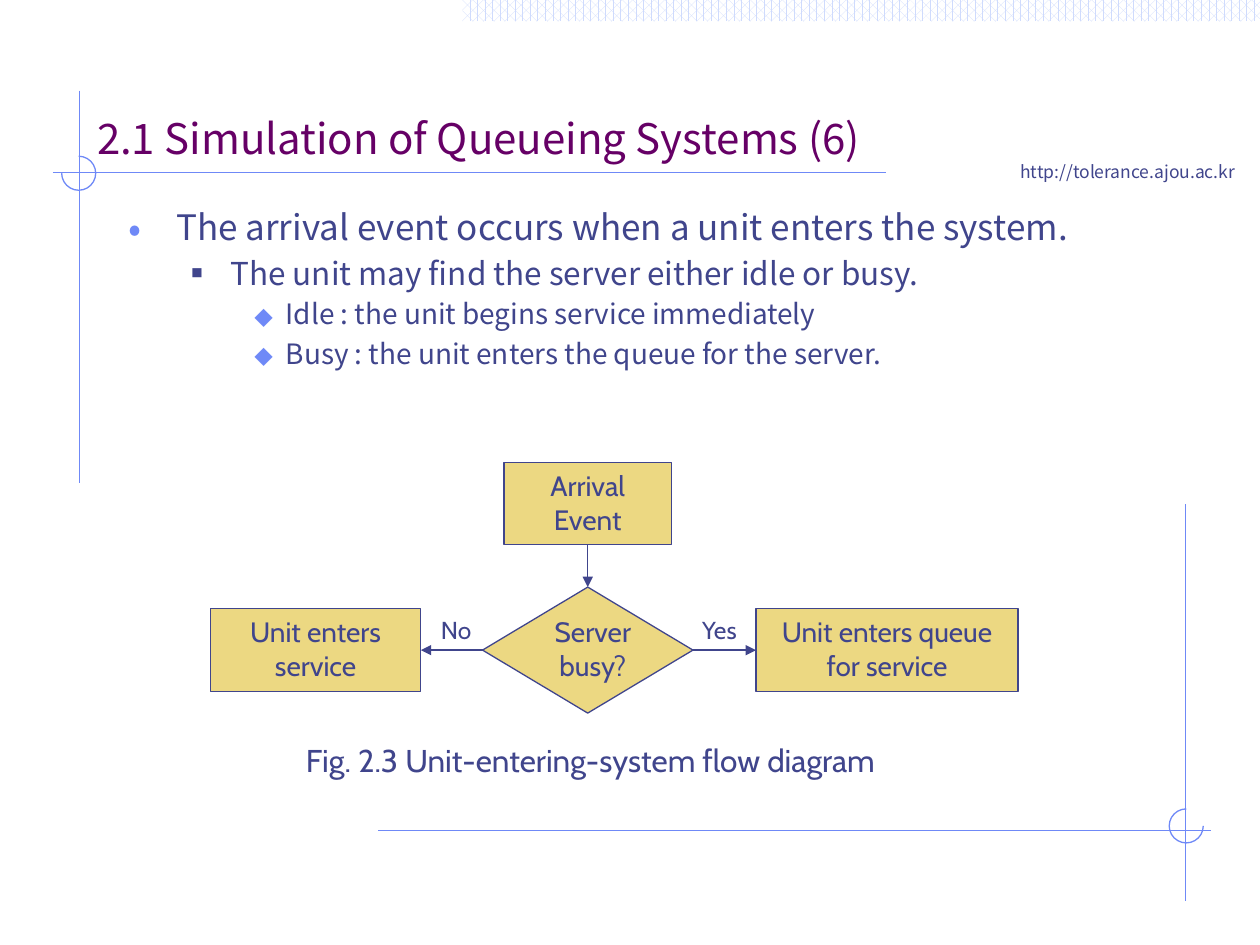
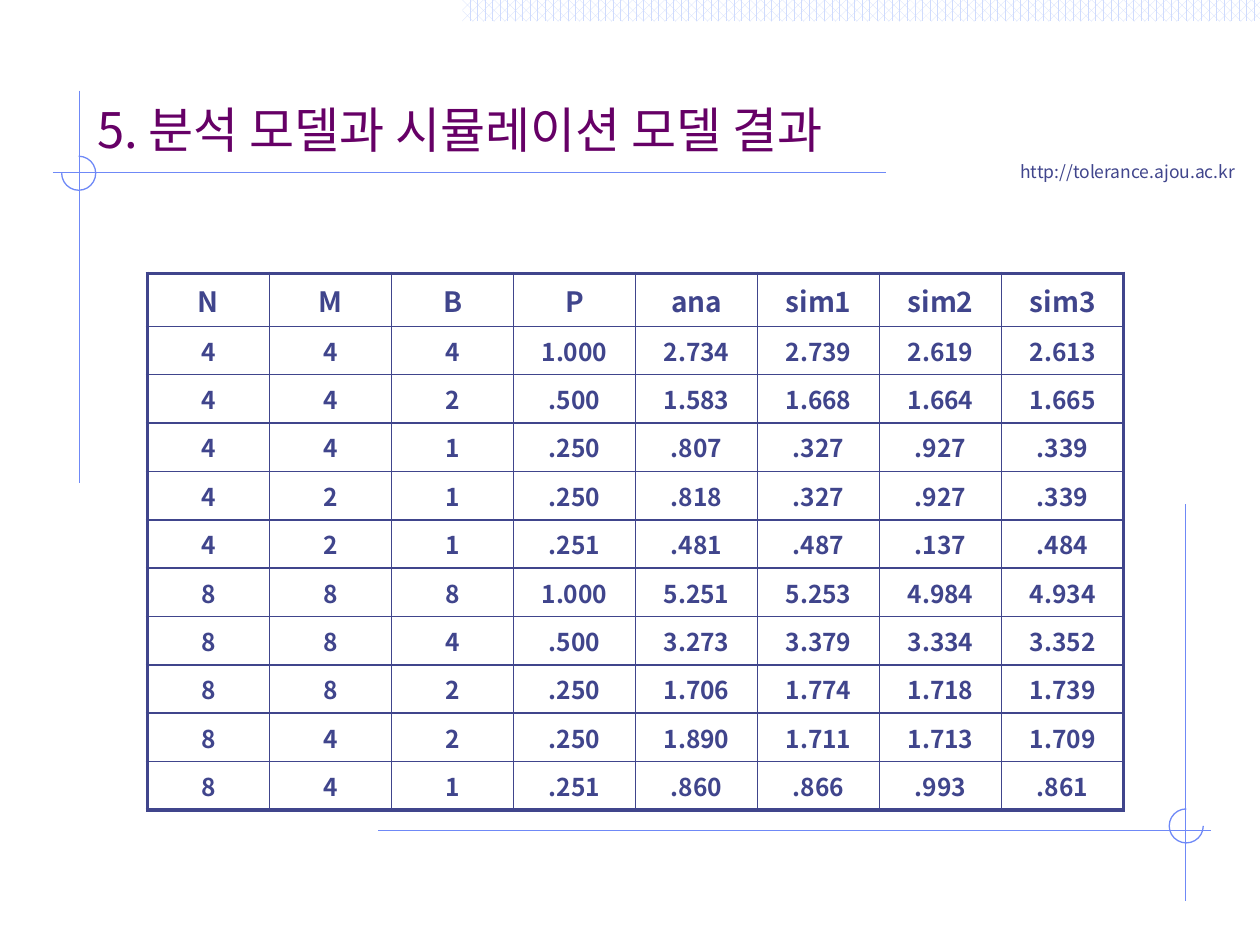
import dataclasses
import typing

import lxml.etree
import pptx
import pptx.dml.color
import pptx.enum.dml
import pptx.enum.shapes
import pptx.enum.text
import pptx.oxml.ns
import pptx.util

Inches = pptx.util.Inches
Pt = pptx.util.Pt
Kind = pptx.enum.shapes.MSO_SHAPE
Align = pptx.enum.text.PP_ALIGN
Anchor = pptx.enum.text.MSO_ANCHOR
qn = pptx.oxml.ns.qn

HUES = {
    "ink": "40458C",
    "frame": "6F89F7",
    "title": "660066",
    "gold": "ECD882",
    "band": "CFDBFD",
    "white": "FFFFFF",
}
SANS = "Noto Sans CJK KR"
CABIN = "Cabin"
TOP, LEFT, BOTTOM, RIGHT = range(4)


class Box(typing.NamedTuple):
    left: float
    top: float
    width: float
    height: float

    def place(self) -> list:
        return [Inches(side) for side in self]


@dataclasses.dataclass
class Node:
    text: str
    box: Box
    kind: typing.Any = Kind.RECTANGLE


@dataclasses.dataclass
class Label:
    text: str
    box: Box
    size: float
    font: str = CABIN
    align: typing.Any = Align.CENTER
    wrap: bool = True


@dataclasses.dataclass
class Link:
    start: str
    exit: int
    end: str
    entry: int


@dataclasses.dataclass
class Bullet:
    mark: str
    hue: str
    scale: int
    left: float
    hang: float
    size: float


class Item(typing.NamedTuple):
    level: int
    text: str


class Line(typing.NamedTuple):
    x1: float
    y1: float
    x2: float
    y2: float


class Arc(typing.NamedTuple):
    box: Box
    start: float
    end: float


BAND = Box(3.67, 0, 6.33, 0.17)
SITE = Label("http://tolerance.ajou.ac.kr", Box(8, 1.23, 1.9, 0.27), 10, SANS, Align.LEFT, False)
RULES = [
    Line(3, 6.59, 9.61, 6.59),
    Line(9.41, 4, 9.41, 7.15),
    Line(0.63, 0.72, 0.63, 3.83),
    Line(0.42, 1.37, 7.03, 1.37),
]
ARCS = [
    Arc(Box(9.28, 6.42, 0.27, 0.27), 0, 270),
    Arc(Box(0.49, 1.24, 0.27, 0.27), 270, 180),
]

BULLETS = [
    Bullet("•", "frame", 110, 0.38, 0.38, 20),
    Bullet("■", "ink", 36, 0.81, 0.31, 18),
    Bullet("⬥", "frame", 95, 1.25, 0.25, 16),
]
ITEMS = [
    Item(0, "The arrival event occurs when a unit enters the system."),
    Item(1, "The unit may find the server either idle or busy."),
    Item(2, "Idle : the unit begins service immediately"),
    Item(2, "Busy : the unit enters the queue for the server."),
]

NODES = {
    "start": Node("Arrival Event", Box(4, 3.67, 1.33, 0.65)),
    "check": Node("", Box(3.83, 4.66, 1.67, 1), Kind.FLOWCHART_DECISION),
    "queue": Node("Unit enters queue for service", Box(6, 4.83, 2.08, 0.66)),
    "serve": Node("Unit enters service", Box(1.67, 4.83, 1.67, 0.66)),
}
LINKS = [
    Link("start", BOTTOM, "check", TOP),
    Link("check", LEFT, "serve", RIGHT),
    Link("check", RIGHT, "queue", LEFT),
]
LABELS = [
    Label("Server busy?", Box(4.08, 4.83, 1.25, 0.64), 16),
    Label("Yes", Box(5.42, 4.83, 0.58, 0.33), 14),
    Label("No", Box(3.33, 4.83, 0.58, 0.33), 14),
    Label("Fig. 2.3 Unit-entering-system flow diagram", Box(2.33, 5.83, 5.25, 0.4), 18,
          align=Align.LEFT),
]

HEAD = 0.42
RESULTS = """
N M B P ana sim1 sim2 sim3
4 4 4 1.000 2.734 2.739 2.619 2.613
4 4 2 .500 1.583 1.668 1.664 1.665
4 4 1 .250 .807 .327 .927 .339
4 2 1 .250 .818 .327 .927 .339
4 2 1 .251 .481 .487 .137 .484
8 8 8 1.000 5.251 5.253 4.984 4.934
8 8 4 .500 3.273 3.379 3.334 3.352
8 8 2 .250 1.706 1.774 1.718 1.739
8 4 2 .250 1.890 1.711 1.713 1.709
8 4 1 .251 .860 .866 .993 .861
"""


def shade(name: str) -> pptx.dml.color.RGBColor:
    return pptx.dml.color.RGBColor.from_string(HUES[name])


def child(parent, tag: str, **attrs: str):
    return lxml.etree.SubElement(parent, qn(tag), attrs)


def write(para, text: str, size: float, font: str = SANS, hue: str = "ink",
          bold: bool = False):
    run = para.add_run()
    run.text = text
    run.font.size = Pt(size)
    run.font.bold = bold
    run.font.color.rgb = shade(hue)
    run.font.name = font
    child(run.font._element, "a:ea", typeface=font)
    return run


def add_label(slide, label: Label) -> None:
    frame = slide.shapes.add_textbox(*label.box.place()).text_frame
    frame.word_wrap = label.wrap
    para = frame.paragraphs[0]
    para.alignment = label.align
    write(para, label.text, label.size, label.font)


def add_line(slide, line: Line, hue: str):
    link = slide.shapes.add_connector(
        pptx.enum.shapes.MSO_CONNECTOR.STRAIGHT, *[Inches(end) for end in line])
    link.line.color.rgb = shade(hue)
    link.line.width = Pt(0.75)
    child(link.element.spPr, "a:effectLst")
    return link


def add_shape(slide, kind, box: Box, fill: str = "", edge: str = ""):
    shape = slide.shapes.add_shape(kind, *box.place())
    shape.shadow.inherit = False
    if fill:
        shape.fill.solid()
        shape.fill.fore_color.rgb = shade(fill)
    else:
        shape.fill.background()
    if edge:
        shape.line.color.rgb = shade(edge)
        shape.line.width = Pt(0.75)
    else:
        shape.line.fill.background()
    return shape


def add_frame(slide) -> None:
    band = add_shape(slide, Kind.RECTANGLE, BAND)
    band.fill.patterned()
    band.fill.pattern = pptx.enum.dml.MSO_PATTERN.PERCENT_60
    band.fill.fore_color.rgb = shade("band")
    band.fill.back_color.rgb = shade("white")
    add_label(slide, SITE)
    for rule in RULES:
        add_line(slide, rule, "frame")
    for arc in ARCS:
        shape = add_shape(slide, Kind.ARC, arc.box, edge="frame")
        shape.adjustments[0] = arc.start * 0.6
        shape.adjustments[1] = arc.end * 0.6


def add_slide(deck, text: str, box: Box, size: float):
    slide = deck.slides.add_slide(deck.slide_layouts.get_by_name("Title Only"))
    add_frame(slide)
    title = slide.shapes.title
    title.left, title.top, title.width, title.height = box.place()
    frame = title.text_frame
    frame.auto_size = pptx.enum.text.MSO_AUTO_SIZE.NONE
    frame.vertical_anchor = Anchor.BOTTOM
    para = frame.paragraphs[0]
    para.alignment = Align.LEFT
    run = write(para, text, size, hue="title")
    run.font._element.set("kern", "0")
    return slide


def add_list(slide, items: list[Item], box: Box) -> None:
    frame = slide.shapes.add_textbox(*box.place()).text_frame
    frame.word_wrap = True
    for index, item in enumerate(items):
        para = frame.add_paragraph() if index else frame.paragraphs[0]
        style = BULLETS[item.level]
        props = para._p.get_or_add_pPr()
        props.set("marL", str(Inches(style.left)))
        props.set("indent", str(-Inches(style.hang)))
        child(child(props, "a:buClr"), "a:srgbClr", val=HUES[style.hue])
        child(props, "a:buSzPct", val=str(style.scale * 1000))
        child(props, "a:buFont", typeface=SANS)
        child(props, "a:buChar", char=style.mark)
        para.level = item.level
        if index:
            para.space_before = Pt(style.size * 0.2)
        write(para, item.text, style.size)


def add_node(slide, node: Node):
    shape = add_shape(slide, node.kind, node.box, "gold", "ink")
    if node.text:
        shape.text_frame.word_wrap = True
        shape.text_frame.vertical_anchor = Anchor.TOP
        para = shape.text_frame.paragraphs[0]
        para.alignment = Align.CENTER
        write(para, node.text, 16, CABIN)
    return shape


def add_flow(slide) -> None:
    shapes = {name: add_node(slide, node) for name, node in NODES.items()}
    for link in LINKS:
        arrow = add_line(slide, Line(0, 0, 0, 0), "ink")
        arrow.begin_connect(shapes[link.start], link.exit)
        arrow.end_connect(shapes[link.end], link.entry)
        child(arrow.element.spPr.find(qn("a:ln")), "a:tailEnd", type="triangle")
    for label in LABELS:
        add_label(slide, label)


def add_edge(cell, side: str, width: float) -> None:
    edge = child(cell._tc.get_or_add_tcPr(), f"a:ln{side}", w=str(Pt(width)))
    child(child(edge, "a:solidFill"), "a:srgbClr", val=HUES["ink"])


def add_grid(slide, rows: list[list[str]], box: Box) -> None:
    table = slide.shapes.add_table(len(rows), len(rows[0]), *box.place()).table
    table.first_row = table.horz_banding = False
    for r, row in enumerate(rows):
        table.rows[r].height = Inches((box.height - HEAD) / (len(rows) - 1) if r else HEAD)
        for c, text in enumerate(row):
            cell = table.cell(r, c)
            outer = {"L": c == 0, "R": c == len(row) - 1,
                     "T": r == 0, "B": r == len(rows) - 1}
            for side, thick in outer.items():
                add_edge(cell, side, 2.25 if thick else 1)
            cell.fill.background()
            cell.vertical_anchor = Anchor.MIDDLE
            para = cell.text_frame.paragraphs[0]
            para.alignment = Align.CENTER
            write(para, text, 14 if r else 16, bold=True)


def main() -> None:
    deck = pptx.Presentation()
    deck.slide_width, deck.slide_height = Inches(10), Inches(7.5)
    slide = add_slide(deck, "2.1 Simulation of Queueing Systems (6)",
                      Box(0.67, 0.67, 7.42, 0.67), 24)
    add_list(slide, ITEMS, Box(0.92, 1.58, 8.5, 5))
    add_flow(slide)
    slide = add_slide(deck, "5. 분석 모델과 시뮬레이션 모델 결과",
                      Box(0.67, 0.64, 7.83, 0.67), 28)
    rows = [line.split() for line in RESULTS.strip().splitlines()]
    add_grid(slide, rows, Box(1.17, 2.17, 7.75, 4.26))
    deck.save("out.pptx")


if __name__ == "__main__":
    main()
